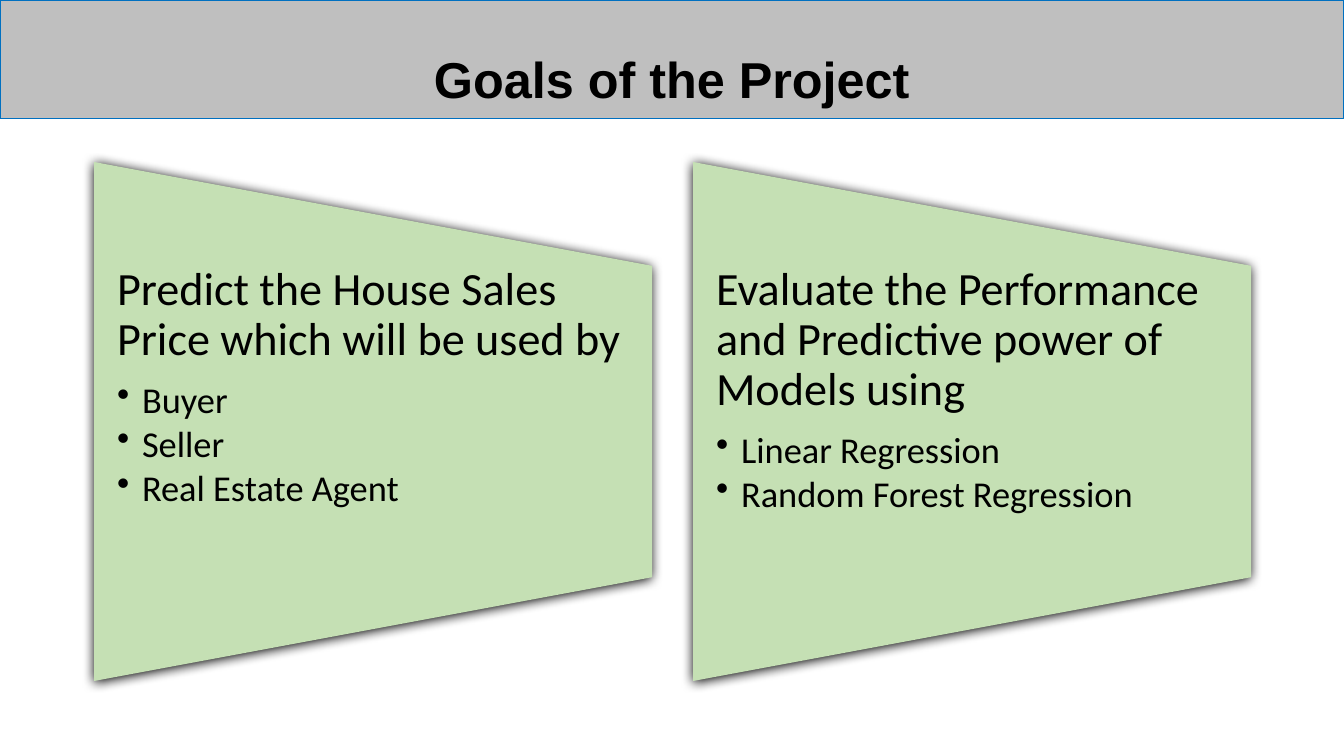
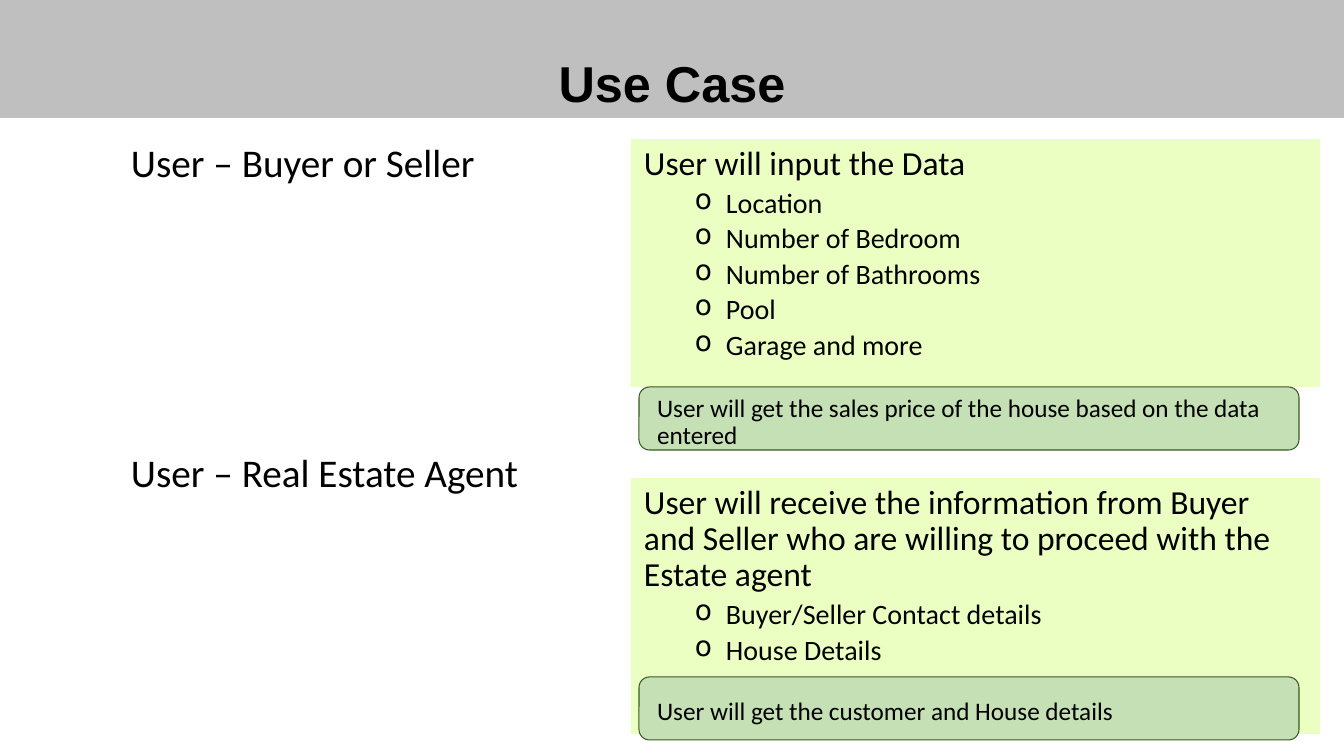
import pptx
import pptx.util
import pptx.dml.color
import pptx.enum.shapes
import pptx.enum.text
import pptx.oxml
import pptx.oxml.ns
import lxml.etree

Pt = pptx.util.Pt
RGB = pptx.dml.color.RGBColor
Kind = pptx.enum.shapes.MSO_SHAPE
Align = pptx.enum.text.PP_ALIGN
Anchor = pptx.enum.text.MSO_ANCHOR
Fit = pptx.enum.text.MSO_AUTO_SIZE

# Content
GOALS = [
    ("Predict the House Sales Price which will be used by",
     ["Buyer", "Seller", "Real Estate Agent"]),
    ("Evaluate the Performance and Predictive power of Models using",
     ["Linear Regression", "Random Forest Regression"]),
]
# user, top of user; panel head, items, top and height; result, top of result
CASES = [
    ("User – Buyer or Seller", 144, "User will input the Data",
     ["Location", "Number of Bedroom", "Number of Bathrooms", "Pool",
      "Garage and more"], 139, 248,
     "User will get the sales price of the house based on the data entered",
     387),
    ("User – Real Estate Agent", 454,
     "User will receive the information from Buyer and Seller who are "
     "willing to proceed with the Estate agent",
     ["Buyer/Seller Contact details", "House Details"], 478, 256,
     "User will get the customer and House details", 677),
]

# Colours and text styles
BLACK = RGB(0x00, 0x00, 0x00)
GREY = RGB(0xBF, 0xBF, 0xBF)
BLUE = RGB(0x00, 0x70, 0xC0)
GREEN = RGB(0xC5, 0xE0, 0xB4)
DARK = RGB(0x38, 0x57, 0x23)
LIME = RGB(0xEC, 0xFF, 0xC3)

TITLE = {"name": "Arial", "size": Pt(36), "bold": True}
BODY = {"name": "Calibri", "bold": False}
WIDE, HIGH = 1344, 756


def px(n):
    return round(n * 914400 / 100.8)


def style(part, **form):
    for key, val in form.items():
        setattr(part, key, val)


def paint(shape, fill, line=None):
    shape.fill.solid()
    shape.fill.fore_color.rgb = fill
    if line is None:
        shape.line.fill.background()
    else:
        shape.line.color.rgb = line
        shape.line.width = Pt(0.75)


def setup(frame, inset, anchor=Anchor.TOP):
    left, top, right, low = map(px, inset)
    style(frame, word_wrap=True, auto_size=Fit.NONE, vertical_anchor=anchor,
          margin_left=left, margin_top=top, margin_right=right,
          margin_bottom=low)


def write(para, text, font, after=0, align=Align.LEFT):
    para.text = text
    style(para, alignment=align, line_spacing=0.9, space_before=Pt(0),
          space_after=Pt(after))
    style(para.font, **font)
    para.font.color.rgb = BLACK


def bullet(para, mark, left, hang):
    props = para._p.get_or_add_pPr()
    props.set("marL", str(px(left)))
    props.set("indent", str(-px(hang)))
    char = lxml.etree.SubElement(props, pptx.oxml.ns.qn("a:buChar"))
    char.set("char", mark)
    # A bullet goes before the default run properties
    props.insert_element_before(char, "a:tabLst", "a:defRPr", "a:extLst")


def outline(frame, head, items, sizes, gaps, mark, left, hang):
    write(frame.paragraphs[0], head, dict(BODY, size=Pt(sizes[0])), gaps[0])
    for item in items:
        para = frame.add_paragraph()
        write(para, item, dict(BODY, size=Pt(sizes[1])), gaps[1])
        bullet(para, mark, left, hang)


def shape(slide, kind, box, fill, line=None):
    new = slide.shapes.add_shape(kind, *map(px, box))
    new.shadow.inherit = False
    paint(new, fill, line)
    return new


def label(slide, box):
    return slide.shapes.add_textbox(*map(px, box)).text_frame


def glow(shape):
    ns = pptx.oxml.ns.nsdecls("a")
    soft = pptx.oxml.parse_xml(
        f'<a:outerShdw {ns} blurRad="{Pt(8.5)}" dist="{Pt(1)}" '
        'dir="5400000" algn="ctr" rotWithShape="0">'
        '<a:srgbClr val="000000"/></a:outerShdw>')
    shape._element.spPr.find(pptx.oxml.ns.qn("a:effectLst")).append(soft)


def start(deck, text, high, low, line=None):
    slide = deck.slides.add_slide(deck.slide_layouts[5])
    band = slide.shapes.title
    style(band, left=0, top=0, width=px(WIDE), height=px(high))
    paint(band, GREY, line)
    setup(band.text_frame, (0, 0, 0, low), Anchor.BOTTOM)
    write(band.text_frame.paragraphs[0], text, TITLE, align=Align.CENTER)
    return slide


deck = pptx.Presentation()
style(deck, slide_width=px(WIDE), slide_height=px(HIGH))

# Goals: two trapezoids, each turned on its side
slide = start(deck, "Goals of the Project", 119, 10, BLUE)
LEFT, TOP, CARD, TALL, STEP = 94, 162, 558, 519, 599
for i, (head, items) in enumerate(GOALS):
    x = LEFT + i * STEP
    turn = (CARD - TALL) / 2
    card = shape(slide, Kind.FLOWCHART_MANUAL_OPERATION,
                 (x + turn, TOP - turn, TALL, CARD), GREEN)
    card.rotation = 270
    glow(card)
    frame = label(slide, (x, TOP + TALL / 5, CARD, TALL * 3 / 5))
    setup(frame, (23, 0, 23, 0))
    outline(frame, head, items, (33, 26), (11.5, 3.5), "•", 25, 25)

# Use cases: user on the left, panel and result on the right
slide = start(deck, "Use Case", 118, 5)
for user, y, head, items, top, tall, result, low in CASES:
    frame = label(slide, (131, y, 480, 48))
    setup(frame, (0, 0, 0, 0))
    write(frame.paragraphs[0], user, dict(BODY, size=Pt(28)))

    panel = shape(slide, Kind.RECTANGLE, (631, top, 689, tall), LIME)
    setup(panel.text_frame, (13, 7, 13, 7))
    outline(panel.text_frame, head, items, (24, 20), (4.8, 3.8),
            "o", 82, 31)

    pill = shape(slide, Kind.ROUNDED_RECTANGLE, (639, low, 660, 63),
                 GREEN, DARK)
    setup(pill.text_frame, (15, 8, 15, 0), Anchor.MIDDLE)
    write(pill.text_frame.paragraphs[0], result, dict(BODY, size=Pt(18)))

deck.save("out.pptx")
